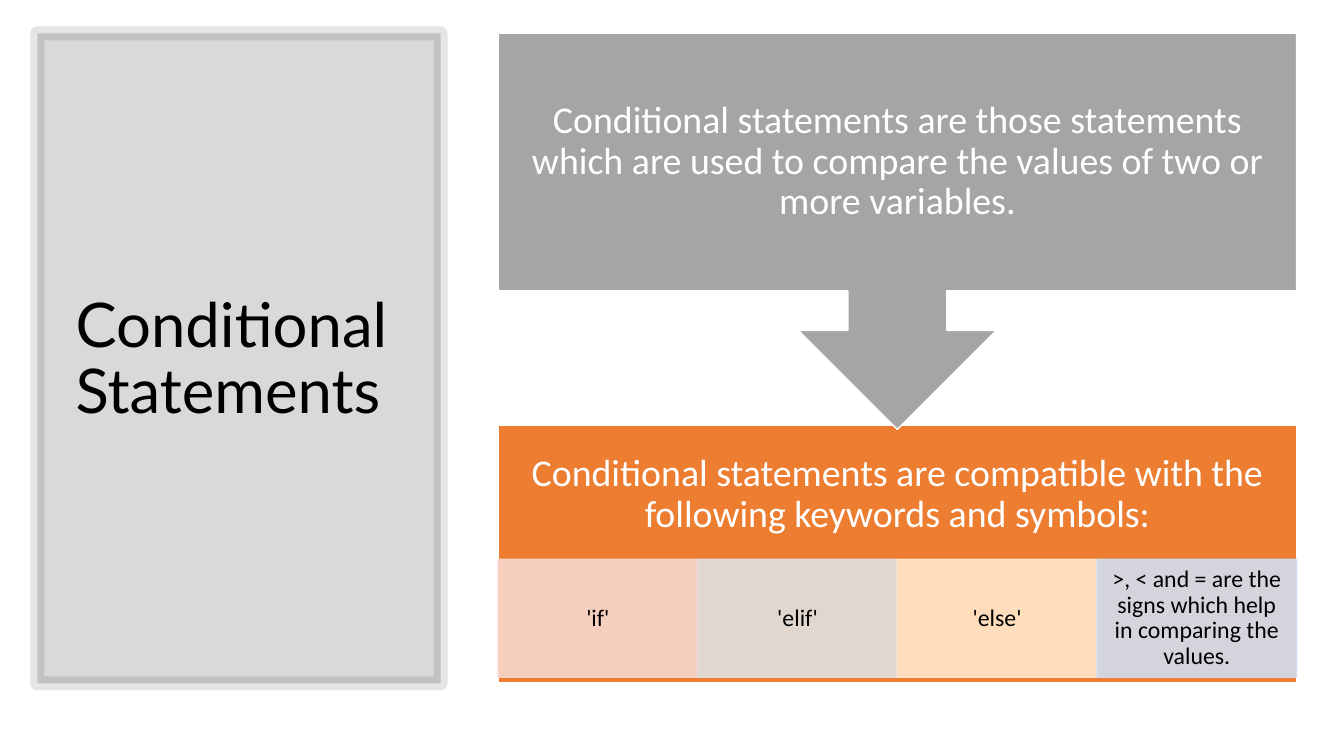
import pptx
import pptx.util
from pptx.dml.color import RGBColor
from pptx.enum.shapes import MSO_SHAPE
from pptx.enum.text import MSO_ANCHOR, PP_ALIGN
from pptx.oxml.ns import qn
from lxml import etree

PX = 9144
COLORS = {
    "black": "000000", "white": "FFFFFF", "grey": "A5A5A5",
    "orange": "ED7D31", "rose": "F8D7CE", "silver": "E1E1E1",
    "peach": "FFE8CC", "blue": "D2DEEF",
}
CELLS = [
    ("'if'", "rose"),
    ("'elif'", "silver"),
    ("'else'", "peach"),
    (">, < and = are the signs which help in comparing the values.", "blue"),
]


class Deck:
    def __init__(self, wide, high):
        self.prs = pptx.Presentation()
        self.prs.slide_width = wide * PX
        self.prs.slide_height = high * PX
        self.slide = self.prs.slides.add_slide(self.prs.slide_layouts[5])

    def paint(self, fill, color, alpha):
        """Give a fill a solid colour at a percentage of opacity."""
        fill.solid()
        fill.fore_color.rgb = RGBColor.from_string(COLORS[color])
        if alpha < 100:
            rgb = fill._xPr.find(qn("a:solidFill"))[0]
            etree.SubElement(rgb, qn("a:alpha"), val=str(alpha * 1000))

    def shape(self, box, color, edge, kind=MSO_SHAPE.RECTANGLE,
              alpha=100, shade=100, width=1):
        """Add a shape; alpha is the fill's opacity, shade the line's."""
        item = self.slide.shapes.add_shape(kind, *[n * PX for n in box])
        item.shadow.inherit = False
        self.paint(item.fill, color, alpha)
        self.paint(item.line.fill, edge, shade)
        item.line.width = pptx.util.Pt(width)
        return item

    def letter(self, item, text, size, color, inset,
               font="Calibri", align=PP_ALIGN.CENTER):
        """Set and format text; inset is the (side, end) margin in px."""
        frame = item.text_frame
        frame.text = text
        frame.word_wrap = True
        frame.vertical_anchor = MSO_ANCHOR.MIDDLE
        side, end = [n * PX for n in inset]
        frame.margin_left = frame.margin_right = side
        frame.margin_top = frame.margin_bottom = end
        para = frame.paragraphs[0]
        para.alignment = align
        para.line_spacing = 0.9
        style = para.runs[0].font
        style.name = font
        style.size = pptx.util.Pt(size)
        style.color.rgb = RGBColor.from_string(COLORS[color])

    def label(self, box, text):
        item = self.slide.shapes.add_textbox(*[n * PX for n in box])
        self.letter(item, text, 27, "white", (21, 21))

    def title(self, box, text):
        item = self.slide.shapes.title
        item.left, item.top, item.width, item.height = [n * PX for n in box]
        self.letter(item, text, 44, "black", (10, 5), "Lato", PP_ALIGN.LEFT)
        # Bring the title in front of the panel
        self.slide.shapes._spTree.append(item._element)


def main():
    deck = Deck(1333, 750)
    deck.shape((37, 33, 400, 645), "black", "black",
               alpha=15, shade=10, width=10)
    deck.title((65, 70, 346, 575), "Conditional Statements")

    left, wide = 494, 792
    deck.shape((left, 422, wide, 255), "orange", "white")
    deck.label((left, 422, wide, 138),
               "Conditional statements are compatible with the "
               "following keywords and symbols:")

    step = wide // len(CELLS)
    for i, (text, color) in enumerate(CELLS):
        cell = deck.shape((left + i * step, 555, step, 117), color, color,
                          alpha=90, shade=90)
        deck.letter(cell, text, 17, "black", (13, 2))

    arrow = deck.shape((left, 33, wide, 393), "grey", "white",
                       MSO_SHAPE.UP_ARROW_CALLOUT)
    arrow.rotation = 180
    arrow.adjustments[3] = 0.65
    deck.label((left, 33, wide, 255),
               "Conditional statements are those statements which are used "
               "to compare the values of two or more variables.")
    deck.prs.save("out.pptx")


if __name__ == "__main__":
    main()
